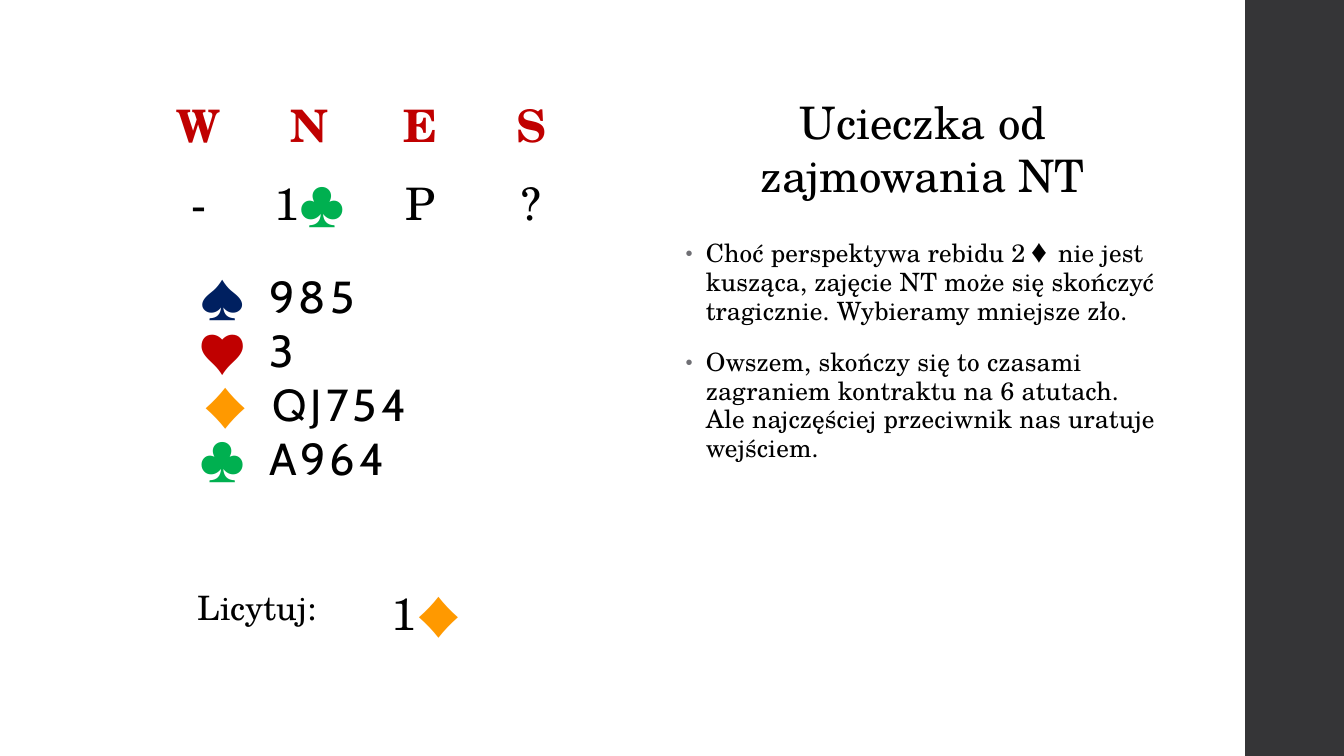
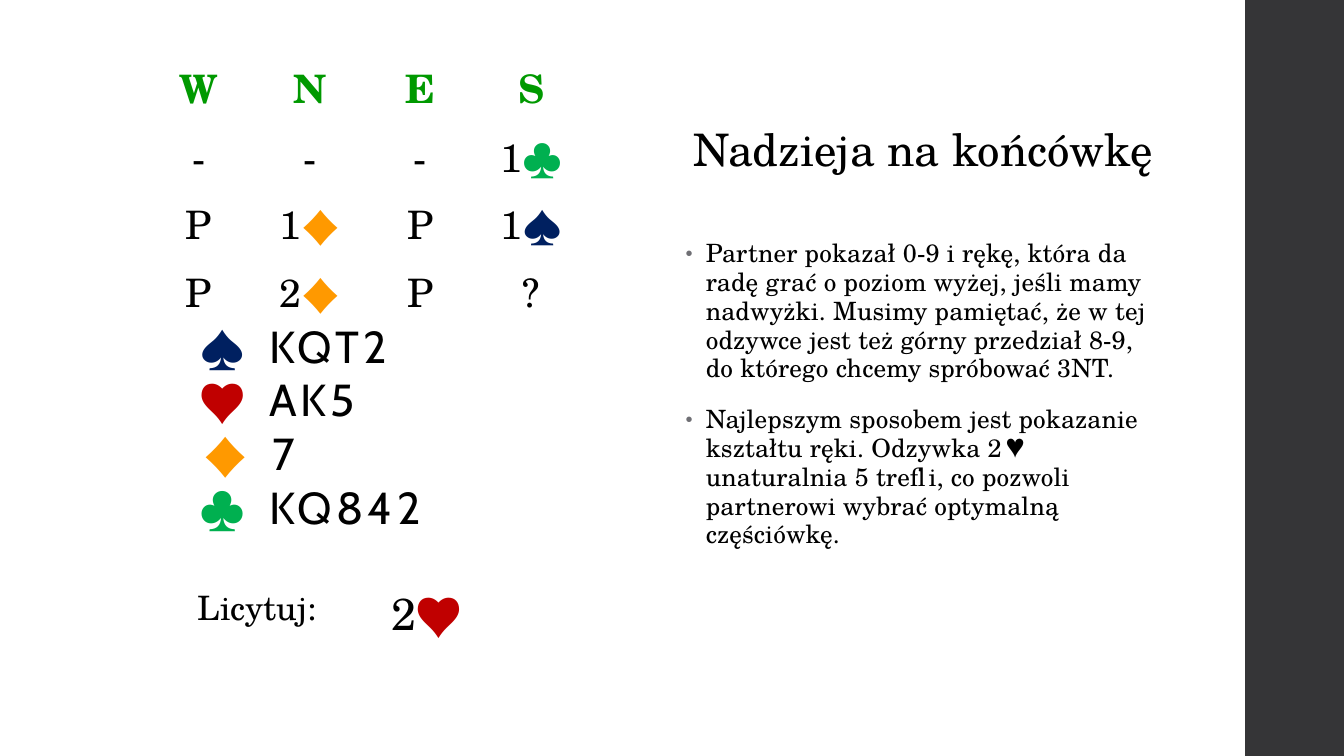
"""Two bridge bidding problems: auction, hand, answer and commentary."""
from itertools import groupby

from lxml import etree
from pptx import Presentation
from pptx.dml.color import RGBColor
from pptx.enum.shapes import MSO_SHAPE as SHAPE
from pptx.enum.text import MSO_ANCHOR as ANCHOR, MSO_AUTO_SIZE as AUTO, PP_ALIGN as ALIGN
from pptx.oxml.ns import qn
from pptx.util import Inches, Pt

COLORS = {"band": "353537", "text": "000000", "bullet": "6F6F74", "red": "C00000", "green": "009900"}
SUITS = {"♠": "002060", "♥": "C00000", "♦": "FF9900", "♣": "00B050"}
SERIF, SANS = "TeX Gyre Schola", "Cabin"
PLAIN_TABLE = "{2D5ABB26-0587-4C30-8999-92F81FD0307C}"
SEATS = ["W", "N", "E", "S"]

SLIDES = [
    {
        "title": "Ucieczka od zajmowania NT", "title_box": (6.7, 0.88, 4.91, 1.18),
        "auction": [["-", "1♣", "P", "?"]], "auction_box": (1.42, 0.84, 4.4, 1.27),
        "auction_size": 32, "seat_color": "red",
        "hand": ["985", "3", "QJ754", "A964"], "hand_top": 2.62, "answer": "1♦",
        "notes": [
            "Choć perspektywa rebidu 2♦ nie jest kusząca, zajęcie NT może się skończyć tragicznie. "
            "Wybieramy mniejsze zło.",
            "Owszem, skończy się to czasami zagraniem kontraktu na 6 atutach. "
            "Ale najczęściej przeciwnik nas uratuje wejściem.",
        ],
    },
    {
        "title": "Nadzieja na końcówkę", "title_box": (6.7, 1.15, 4.91, 0.64),
        "auction": [["-", "-", "-", "1♣"], ["P", "1♦", "P", "1♠"], ["P", "2♦", "P", "?"]],
        "auction_box": (1.42, 0.52, 4.4, 2.27),
        "auction_size": 28, "seat_color": "green",
        "hand": ["KQT2", "AK5", "7", "KQ842"], "hand_top": 3.11, "answer": "2♥",
        "notes": [
            "Partner pokazał 0-9 i rękę, która da radę grać o poziom wyżej, jeśli mamy nadwyżki. "
            "Musimy pamiętać, że w tej odzywce jest też górny przedział 8-9, "
            "do którego chcemy spróbować 3NT.",
            "Najlepszym sposobem jest pokazanie kształtu ręki. Odzywka 2♥ unaturalnia 5 trefli, "
            "co pozwoli partnerowi wybrać optymalną częściówkę.",
        ],
    },
]


def inches(box):
    return [Inches(v) for v in box]


def add_run(p, text, size, color=COLORS["text"], name=SERIF, bold=False, spacing=0):
    r = p.add_run()
    r.text = text
    for key, value in {"size": Pt(size), "name": name, "bold": bold}.items():
        setattr(r.font, key, value)
    r.font.color.rgb = RGBColor.from_string(color)
    if spacing:
        r._r.get_or_add_rPr().set("spc", str(round(spacing * 100)))


def add_bid(p, text, size, color=COLORS["text"], bold=False):
    for is_suit, chars in groupby(text, key=lambda ch: ch in SUITS):
        part = "".join(chars)
        if is_suit:
            add_run(p, part, size, SUITS[part], SANS, spacing=3)
        else:
            add_run(p, part, size, color, bold=bold)


def add_grid(s, box, widths, rows):
    """Add a plain table whose cells are (text, alignment, format) tuples."""
    frame = s.shapes.add_table(len(rows), len(widths), *inches(box))
    table = frame.table
    table.first_row = table.horz_banding = False
    table._tbl.tblPr.find(qn("a:tableStyleId")).text = PLAIN_TABLE
    for column, width in zip(table.columns, widths):
        column.width = Inches(width)
    for row, items in zip(table.rows, rows):
        row.height = Inches(0.41)
        for cell, (text, align, style) in zip(row.cells, items):
            cell.fill.background()
            cell.vertical_anchor = ANCHOR.MIDDLE
            p = cell.text_frame.paragraphs[0]
            p.alignment = align
            add_bid(p, text, **style)
    frame.height = Inches(box[3])


def add_ppr(p, tag, **attrs):
    return etree.SubElement(p._p.get_or_add_pPr(), qn(tag), attrs)


def place(sp, box):
    sp.left, sp.top, sp.width, sp.height = inches(box)


def fill_title(s, data):
    sp = s.shapes.title
    place(sp, data["title_box"])
    tf = sp.text_frame
    for key, value in {"word_wrap": True, "vertical_anchor": ANCHOR.MIDDLE,
                       "auto_size": AUTO.SHAPE_TO_FIT_TEXT}.items():
        setattr(tf, key, value)
    tf.paragraphs[0].alignment = ALIGN.CENTER
    add_run(tf.paragraphs[0], data["title"], 32)


def fill_notes(s, notes):
    sp = s.placeholders[1]
    place(sp, (6.7, 2.33, 4.9, 4.51))
    tf = sp.text_frame
    tf.auto_size = AUTO.NONE
    for i, text in enumerate(notes):
        p = tf.add_paragraph() if i else tf.paragraphs[0]
        for key, value in {"line_spacing": 0.95, "space_before": Pt(14), "space_after": Pt(2)}.items():
            setattr(p, key, value)
        pPr = p._p.get_or_add_pPr()
        pPr.set("marL", str(Inches(0.2)))
        pPr.set("indent", str(Inches(-0.2)))
        etree.SubElement(add_ppr(p, "a:buClr"), qn("a:srgbClr"), val=COLORS["bullet"])
        add_ppr(p, "a:buSzPct", val="80000")
        add_ppr(p, "a:buChar", char="•")
        add_run(p, text, 18, spacing=0.1)


def add_hand(s, top, holdings):
    tf = s.shapes.add_textbox(*inches((1.87, top, 3.49, 2.26))).text_frame
    tf.word_wrap = True
    tf.auto_size = AUTO.SHAPE_TO_FIT_TEXT
    for i, ((suit, color), cards) in enumerate(zip(SUITS.items(), holdings)):
        p = tf.add_paragraph() if i else tf.paragraphs[0]
        if suit == "♦":
            p._p.get_or_add_pPr().set("marL", str(Inches(0.03)))
        tabs = add_ppr(p, "a:tabLst")
        for pos, align in [(0.5, "r"), (0.7, "l")]:
            etree.SubElement(tabs, qn("a:tab"), pos=str(Inches(pos)), algn=align)
        for text, size, ink in [("\t", 28, COLORS["text"]), (suit + "\t", 32, color),
                                (cards, 32, COLORS["text"])]:
            add_run(p, text, size, ink, SANS, spacing=3)


def add_band(prs, s):
    """Draw the side band and move it to the slide master."""
    sp = s.shapes.add_shape(SHAPE.RECTANGLE, *inches((12.35, 0, 1, 7.5)))
    sp.shadow.inherit = False
    sp.fill.solid()
    sp.fill.fore_color.rgb = RGBColor.from_string(COLORS["band"])
    sp.line.fill.background()
    prs.slide_master.shapes.element.insert(2, sp.element)


def add_problem(prs, data):
    s = prs.slides.add_slide(prs.slide_layouts[1])
    style = {"size": data["auction_size"]}
    seat_style = {**style, "color": COLORS[data["seat_color"]], "bold": True}
    rows = [[(seat, ALIGN.CENTER, seat_style) for seat in SEATS]]
    rows += [[(bid, ALIGN.CENTER, style) for bid in bids] for bids in data["auction"]]
    add_grid(s, data["auction_box"], [1.1] * len(SEATS), rows)
    fill_notes(s, data["notes"])
    add_hand(s, data["hand_top"], data["hand"])
    fill_title(s, data)
    add_grid(s, (1.32, 5.7, 4.04, 0.63), [2.46, 1.58],
             [[("Licytuj:", ALIGN.CENTER, {"size": 24}), (data["answer"], ALIGN.LEFT, {"size": 32})]])
    return s


def main():
    prs = Presentation()
    prs.slide_width, prs.slide_height = Inches(13.33), Inches(7.5)
    slides = [add_problem(prs, data) for data in SLIDES]
    add_band(prs, slides[0])
    prs.save("out.pptx")


if __name__ == "__main__":
    main()
